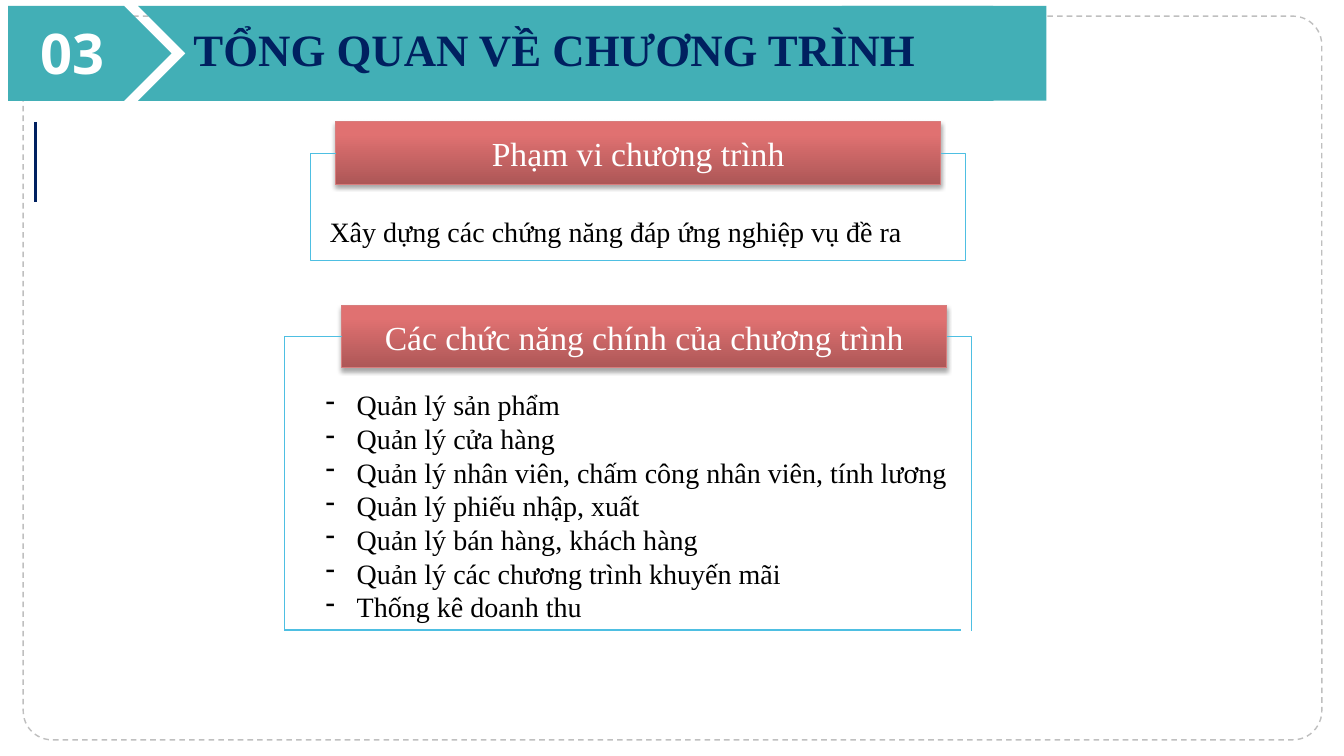
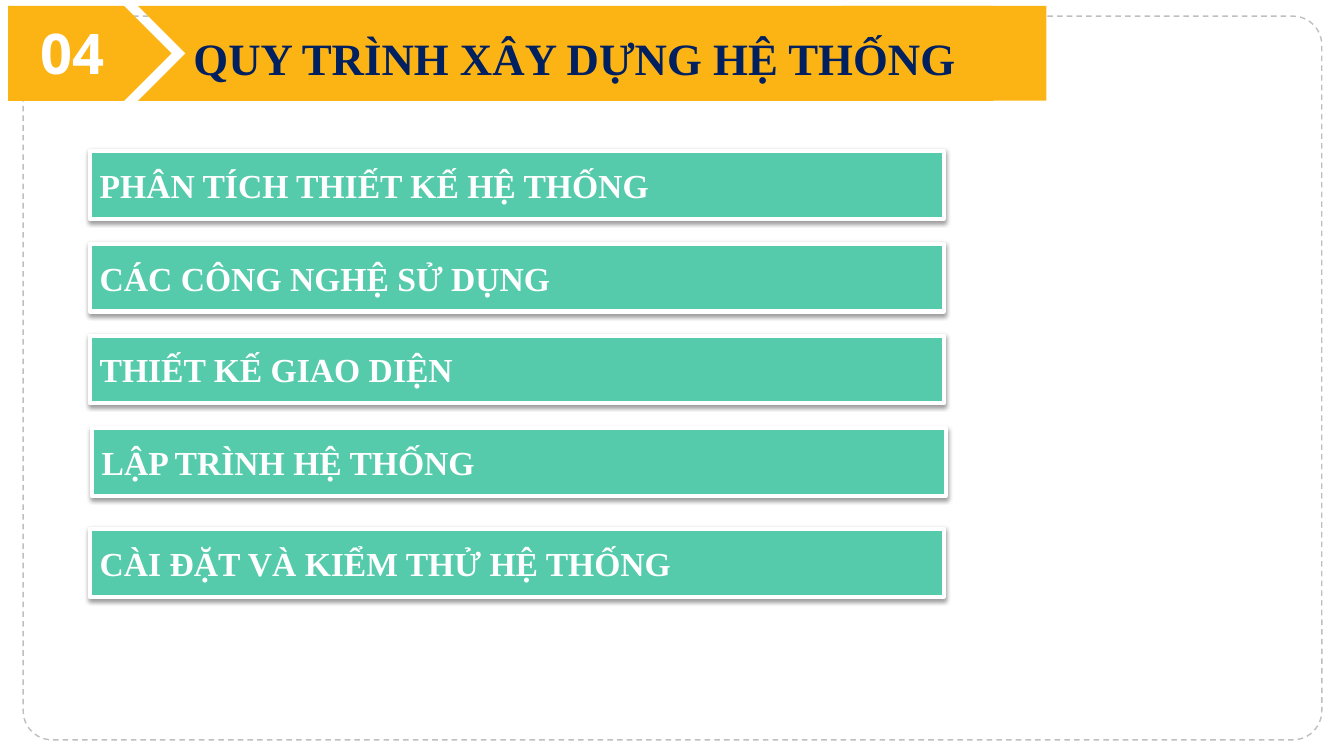
from pptx import Presentation
from pptx.dml.color import RGBColor
from pptx.enum.dml import MSO_LINE
from pptx.enum.shapes import MSO_CONNECTOR as Connector, MSO_SHAPE as Preset
from pptx.enum.text import MSO_ANCHOR as Anchor, PP_ALIGN as Align
from pptx.oxml.ns import qn
from pptx.util import Inches, Pt
from lxml.etree import SubElement

# Colours and fonts
WHITE = RGBColor(0xFF, 0xFF, 0xFF)
BLACK = RGBColor(0x00, 0x00, 0x00)
NAVY = RGBColor(0x00, 0x20, 0x60)
GREY = RGBColor(0xBF, 0xBF, 0xBF)
TEAL = RGBColor(0x42, 0xAF, 0xB6)
AMBER = RGBColor(0xFC, 0xB4, 0x14)
SKY = RGBColor(0x4E, 0xBF, 0xE2)
MINT = RGBColor(0x55, 0xCB, 0xAC)
ROSE = RGBColor(0xD7, 0x7D, 0x7D)
ROSE_STOPS = ((0, "AD5757"), (80, "E07171"), (100, "E37070"))
SERIF = "Times New Roman"

NUMBER_FONT = dict(name="Open Sans", size=Pt(40), bold=True)
TITLE_FONT = dict(name=SERIF, size=Pt(32), bold=True)
STEP_FONT = dict(name=SERIF, size=Pt(24), bold=True)
HEADING_FONT = dict(name=SERIF, size=Pt(24), bold=False)
BODY_FONT = dict(name=SERIF, size=Pt(20), bold=False)

# Content
OVERVIEW = dict(number="03", title="TỔNG QUAN VỀ CHƯƠNG TRÌNH", color=TEAL, title_top=0.23)
PROCESS = dict(number="04", title="QUY TRÌNH XÂY DỰNG HỆ THỐNG", color=AMBER, title_top=0.32)
SCOPE_HEADING = "Phạm vi chương trình"
SCOPE = ["Xây dựng các chứng năng đáp ứng nghiệp vụ đề ra"]
FUNCTIONS_HEADING = "Các chức năng chính của chương trình"
FUNCTIONS = [
    "Quản lý sản phẩm",
    "Quản lý cửa hàng",
    "Quản lý nhân viên, chấm công nhân viên, tính lương",
    "Quản lý phiếu nhập, xuất",
    "Quản lý bán hàng, khách hàng",
    "Quản lý các chương trình khuyến mãi",
    "Thống kê doanh thu",
]
# Each step: text, left, top
STEPS = [
    ("PHÂN TÍCH THIẾT KẾ HỆ THỐNG", 0.89, 1.5),
    ("CÁC CÔNG NGHỆ SỬ DỤNG", 0.89, 2.42),
    ("THIẾT KẾ GIAO DIỆN", 0.89, 3.33),
    ("LẬP TRÌNH HỆ THỐNG", 0.91, 4.25),
    ("CÀI ĐẶT VÀ KIỂM THỬ HỆ THỐNG", 0.89, 5.25),
]

# Layout, in inches
BAND_TOP, BAND_HEIGHT = 0.06, 0.94
HEADING_WIDTH, HEADING_HEIGHT = 6, 0.62
STEP_WIDTH, STEP_HEIGHT = 8.47, 0.67
BULLET_INDENT = 0.31


def write(shape, lines, font, color, align=Align.LEFT, spacing=None, bullet=None):
    frame = shape.text_frame
    frame.word_wrap = True
    for index, line in enumerate(lines):
        paragraph = frame.paragraphs[0] if index == 0 else frame.add_paragraph()
        paragraph.alignment = align
        paragraph.line_spacing = spacing
        run = paragraph.add_run()
        run.text = line
        run.font.color.rgb = color
        for name, value in font.items():
            setattr(run.font, name, value)
        if bullet:
            properties = paragraph._p.get_or_add_pPr()
            properties.set("marL", str(Inches(BULLET_INDENT)))
            properties.set("indent", str(-Inches(BULLET_INDENT)))
            SubElement(properties, qn("a:buChar"), char=bullet)


def add_text(slide, box, lines, font, color, **options):
    shape = slide.shapes.add_textbox(*map(Inches, box))
    write(shape, lines, font, color, **options)


def add_block(slide, preset, box, fill=None, line=None, width=1):
    shape = slide.shapes.add_shape(preset, *map(Inches, box))
    shape.shadow.inherit = False
    if fill is None:
        shape.fill.background()
    else:
        shape.fill.solid()
        shape.fill.fore_color.rgb = fill
    if line is None:
        shape.line.fill.background()
    else:
        shape.line.color.rgb = line
        shape.line.width = Pt(width)
    shape.text_frame.vertical_anchor = Anchor.MIDDLE
    return shape


def add_shadow(shape, opacity, distance):
    effects = shape._element.spPr.find(qn("a:effectLst"))
    shadow = SubElement(effects, qn("a:outerShdw"), blurRad=str(Pt(3.1)),
                        dist=str(Pt(distance)), dir="5400000", rotWithShape="0")
    color = SubElement(shadow, qn("a:srgbClr"), val="000000")
    SubElement(color, qn("a:alpha"), val=str(opacity * 1000))


def add_line(slide, start, end, color, width, bend_x=None):
    """Straight line, or an elbow whose upright part stands at bend_x."""
    kind = Connector.STRAIGHT if bend_x is None else Connector.ELBOW
    line = slide.shapes.add_connector(kind, *map(Inches, (*start, *end)))
    line.line.color.rgb = color
    line.line.width = Pt(width)
    properties = line._element.spPr
    SubElement(properties, qn("a:effectLst"))
    if bend_x is not None:
        share = (bend_x - start[0]) / (end[0] - start[0])
        guides = properties.find(qn("a:prstGeom")).get_or_add_avLst()
        SubElement(guides, qn("a:gd"), name="adj1", fmla=f"val {round(share * 100000)}")


def add_heading(slide, left, top, text):
    shape = add_block(slide, Preset.FLOWCHART_PROCESS,
                      (left, top, HEADING_WIDTH, HEADING_HEIGHT), WHITE, ROSE, 0.75)
    shape.fill.gradient()
    shape.fill.gradient_angle = 90
    stops = shape._element.spPr.find(qn("a:gradFill")).find(qn("a:gsLst"))
    stops.clear()
    for position, color in ROSE_STOPS:
        stop = SubElement(stops, qn("a:gs"), pos=str(position * 1000))
        SubElement(stop, qn("a:srgbClr"), val=color)
    add_shadow(shape, 35, 1.8)
    write(shape, [text], HEADING_FONT, WHITE, Align.CENTER)


def add_brackets(slide, left, top, bottom, sides):
    """Elbows from both ends of a heading; sides hold (bend x, end x)."""
    middle = top + HEADING_HEIGHT / 2
    for start_x, (bend_x, end_x) in zip((left, left + HEADING_WIDTH), sides):
        add_line(slide, (start_x, middle), (end_x, bottom), SKY, 0.75, bend_x)


def add_section(presentation, number, title, color, title_top):
    slide = presentation.slides.add_slide(presentation.slide_layouts[6])
    frame = add_block(slide, Preset.ROUNDED_RECTANGLE, (0.23, 0.16, 12.88, 7.18), line=GREY)
    frame.adjustments[0] = 0.04
    frame.line.dash_style = MSO_LINE.DASH
    for preset, left, width in ((Preset.PENTAGON, 0.08, 1.62),
                                (Preset.CHEVRON, 1.37, 8.95),
                                (Preset.RECTANGLE, 8.35, 2.03)):
        add_block(slide, preset, (left, BAND_TOP, width, BAND_HEIGHT), color)
    add_text(slide, (0.16, 0.13, 1.11, 0.77), [number], NUMBER_FONT, WHITE, align=Align.CENTER)
    add_text(slide, (1.82, title_top, 8.68, 0.59), [title], TITLE_FONT, NAVY,
             align=Align.JUSTIFY, spacing=0.9)
    return slide


presentation = Presentation()
presentation.slide_width, presentation.slide_height = Inches(13.33), Inches(7.5)

# Overview: scope and main functions
slide = add_section(presentation, **OVERVIEW)
add_line(slide, (0.35, 1.21), (0.35, 2), NAVY, 2.25)
add_heading(slide, 3.33, 1.21, SCOPE_HEADING)
add_brackets(slide, 3.33, 1.21, 2.58, ((3.08, 8.17), (9.58, 8.17)))
add_text(slide, (3.17, 2.08, 6, 0.44), SCOPE, BODY_FONT, BLACK)
add_heading(slide, 3.39, 3.03, FUNCTIONS_HEADING)
add_text(slide, (3.13, 3.8, 6.52, 2.46), FUNCTIONS, BODY_FONT, BLACK, bullet="-")
add_brackets(slide, 3.39, 3.03, 6.26, ((2.82, 2.82), (9.64, 9.64)))
add_line(slide, (2.83, 6.25), (9.53, 6.25), SKY, 0.75)

# Process: one bar per step
slide = add_section(presentation, **PROCESS)
for text, left, top in STEPS:
    bar = add_block(slide, Preset.FLOWCHART_PROCESS,
                    (left, top, STEP_WIDTH, STEP_HEIGHT), MINT, WHITE, 3)
    add_shadow(bar, 38, 1.6)
    write(bar, [text], STEP_FONT, WHITE)

presentation.save("out.pptx")
